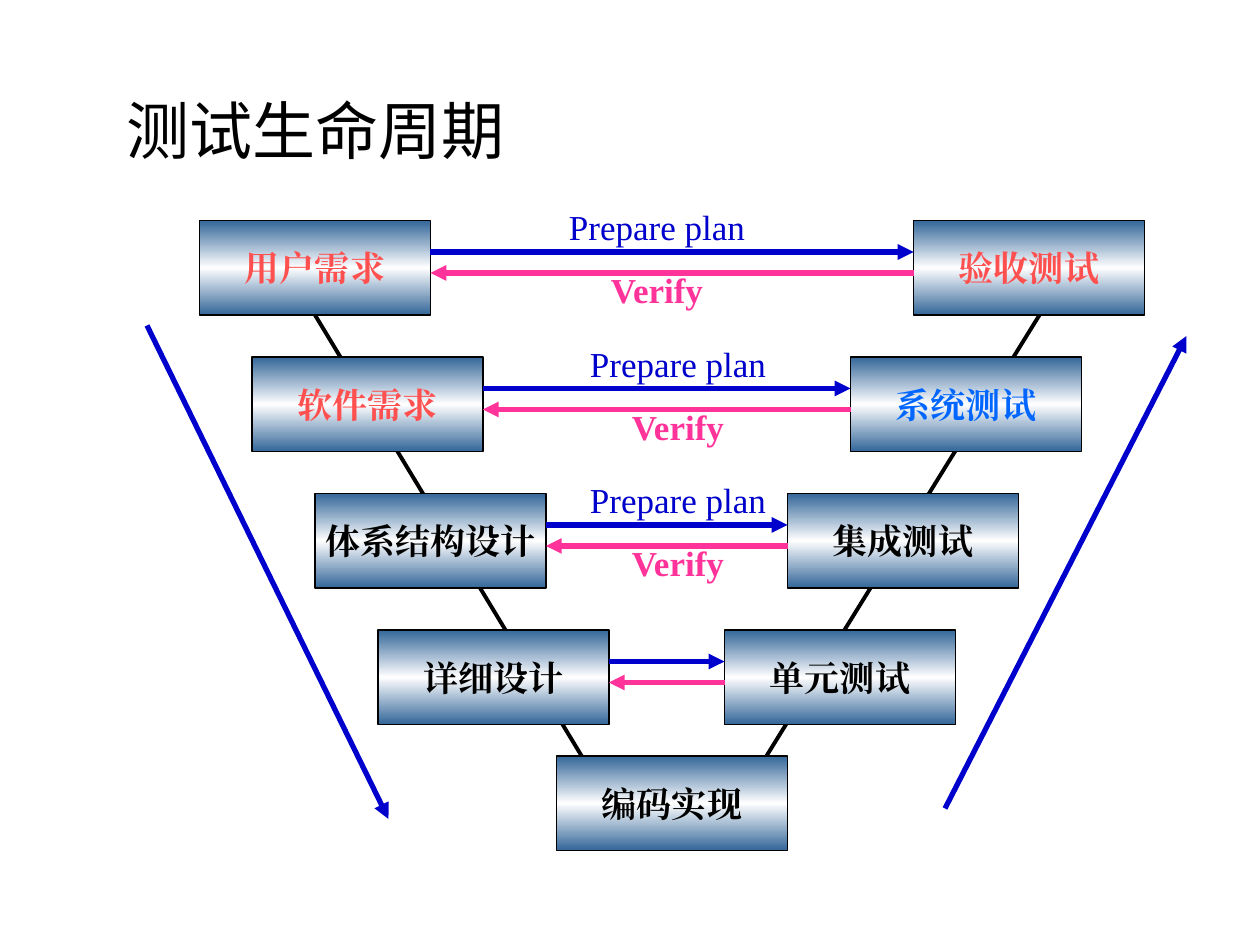
import copy
import lxml.etree
import pptx
import pptx.dml.color
import pptx.enum.shapes
import pptx.enum.text
import pptx.oxml.ns
import pptx.util

Pt = pptx.util.Pt
qn = pptx.oxml.ns.qn
RGB = pptx.dml.color.RGBColor.from_string
ANCHOR = pptx.enum.text.MSO_ANCHOR
ALIGN = pptx.enum.text.PP_ALIGN
SERIF = "Times New Roman"
BLACK, BLUE, PINK, RED = "000000", "0000CC", "FF3399", "FF5050"
BOX_W, BOX_H = 132, 54
TOP, STEP = 126, 78

prs = pptx.Presentation()
prs.slide_width, prs.slide_height = Pt(720), Pt(540)
s = prs.slides.add_slide(prs.slide_layouts[6])


def add_text(sp, text, size, color, bold=False, font=SERIF, wrap=False):
    tf = sp.text_frame
    tf.word_wrap = wrap
    p = tf.paragraphs[0]
    r = p.add_run()
    r.text = text
    r.font.size = Pt(size)
    r.font.bold = bold
    r.font.color.rgb = RGB(color)
    r.font.name = font
    # East Asian characters take their typeface from a:ea
    lxml.etree.SubElement(r.font._element, qn("a:ea"), typeface=font)
    return tf, p


def add_line(x1, y1, x2, y2, color, width=3, arrow=True):
    line = s.shapes.add_connector(
        pptx.enum.shapes.MSO_CONNECTOR.STRAIGHT, Pt(x1), Pt(y1), Pt(x2), Pt(y2))
    line.line.color.rgb = RGB(color)
    line.line.width = Pt(width)
    if arrow:
        lxml.etree.SubElement(line.line._get_or_add_ln(), qn("a:tailEnd"), type="triangle")
    lxml.etree.SubElement(line._element.spPr, qn("a:effectLst"))
    return line


# Title
title = s.shapes.add_textbox(Pt(65), Pt(49), Pt(580), Pt(50))
add_text(title, "测试生命周期", 36, BLACK, font="Noto Sans CJK SC", wrap=True)

# The two sides of the V, behind the boxes
add_line(594, 180, 438, 432, BLACK, 2.25, arrow=False)
left_side = add_line(180, 180, 336, 438, BLACK, 2.25, arrow=False)

# Stages: left, top, text, colour
left_stages = [(114, "用户需求", RED), (144, "软件需求", RED),
               (180, "体系结构设计", BLACK), (216, "详细设计", BLACK)]
right_stages = [(522, "验收测试", RED), (486, "系统测试", "0066FF"),
                (450, "集成测试", BLACK), (414, "单元测试", BLACK)]
stages = [(x, TOP + i * STEP, text, color)
          for side in (left_stages, right_stages)
          for i, (x, text, color) in enumerate(side)]
stages.append((318, 432, "编码实现", BLACK))

boxes = []
for x, y, text, color in stages:
    sp = s.shapes.add_shape(pptx.enum.shapes.MSO_SHAPE.RECTANGLE,
                            Pt(x), Pt(y), Pt(BOX_W), Pt(BOX_H))
    sp.shadow.inherit = False
    sp.fill.gradient()
    sp.fill.gradient_angle = 270
    gs_list = sp._element.xpath("./p:spPr/a:gradFill/a:gsLst")[0]
    gs_list.append(copy.deepcopy(gs_list[0]))
    for stop, pos, shade in zip(sp.fill.gradient_stops, (0, 0.5, 1),
                                ("336699", "FFFFFF", "336699")):
        stop.position = pos
        stop.color.rgb = RGB(shade)
    sp.line.color.rgb = RGB(BLACK)
    sp.line.width = Pt(0.75)
    tf, p = add_text(sp, text, 20, color, bold=True)
    tf.vertical_anchor = ANCHOR.MIDDLE
    p.alignment = ALIGN.CENTER
    boxes.append(sp)
left_side.begin_connect(boxes[0], 2)

# Long arrows beside the V
add_line(84, 186, 222, 468, BLUE)
add_line(540, 462, 678, 192, BLUE)

# Arrows between the two stages of each level, with labels on the upper three
label_lefts = [318, 330, 330, None]
for i, label_x in enumerate(label_lefts):
    y = TOP + i * STEP
    x1, x2 = left_stages[i][0] + BOX_W, right_stages[i][0]
    add_line(x1, y + 18, x2, y + 18, BLUE)
    add_line(x2, y + 30, x1, y + 30, PINK)
    if label_x is None:
        continue
    for dx, dy, w, text, color, bold in ((0, -12, 115, "Prepare plan", BLUE, False),
                                         (24, 24, 68, "Verify", PINK, True)):
        label = s.shapes.add_textbox(Pt(label_x + dx), Pt(y + dy), Pt(w), Pt(31.5))
        tf, p = add_text(label, text, 20, color, bold)
        tf.auto_size = pptx.enum.text.MSO_AUTO_SIZE.SHAPE_TO_FIT_TEXT

prs.save("out.pptx")
